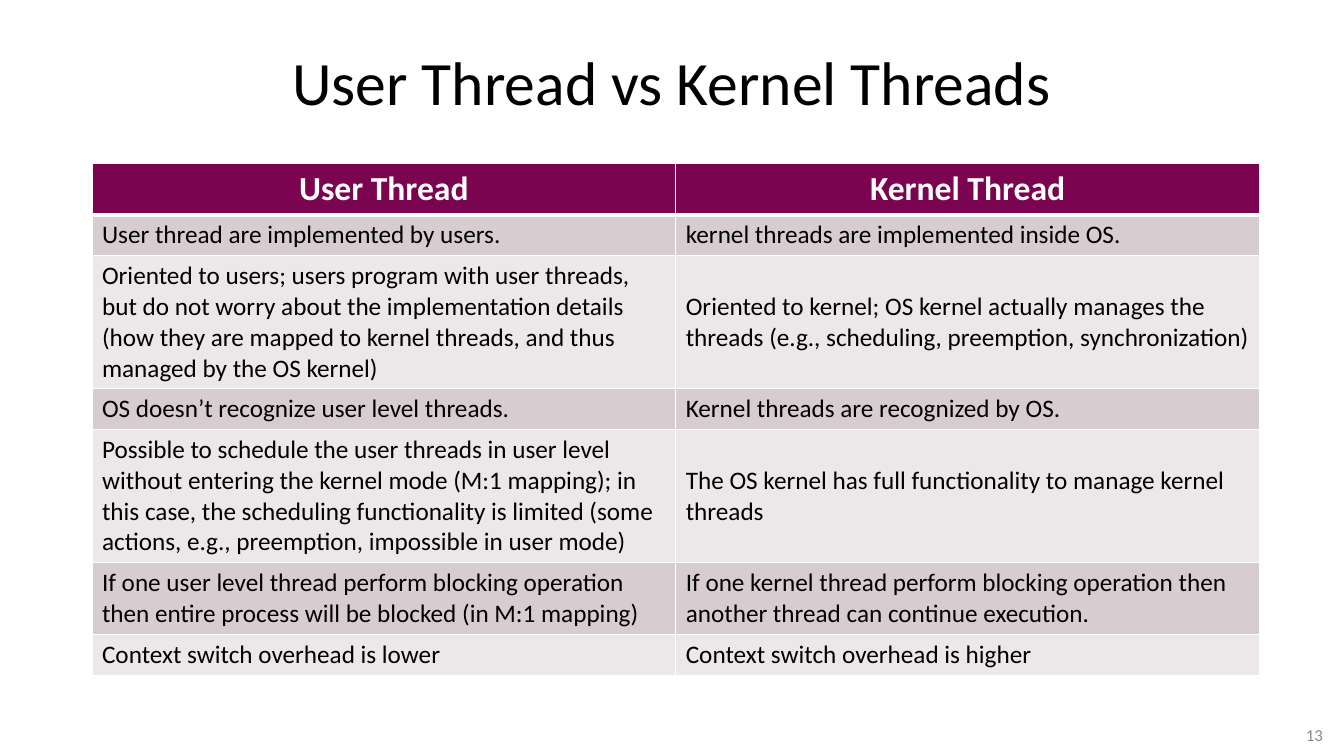
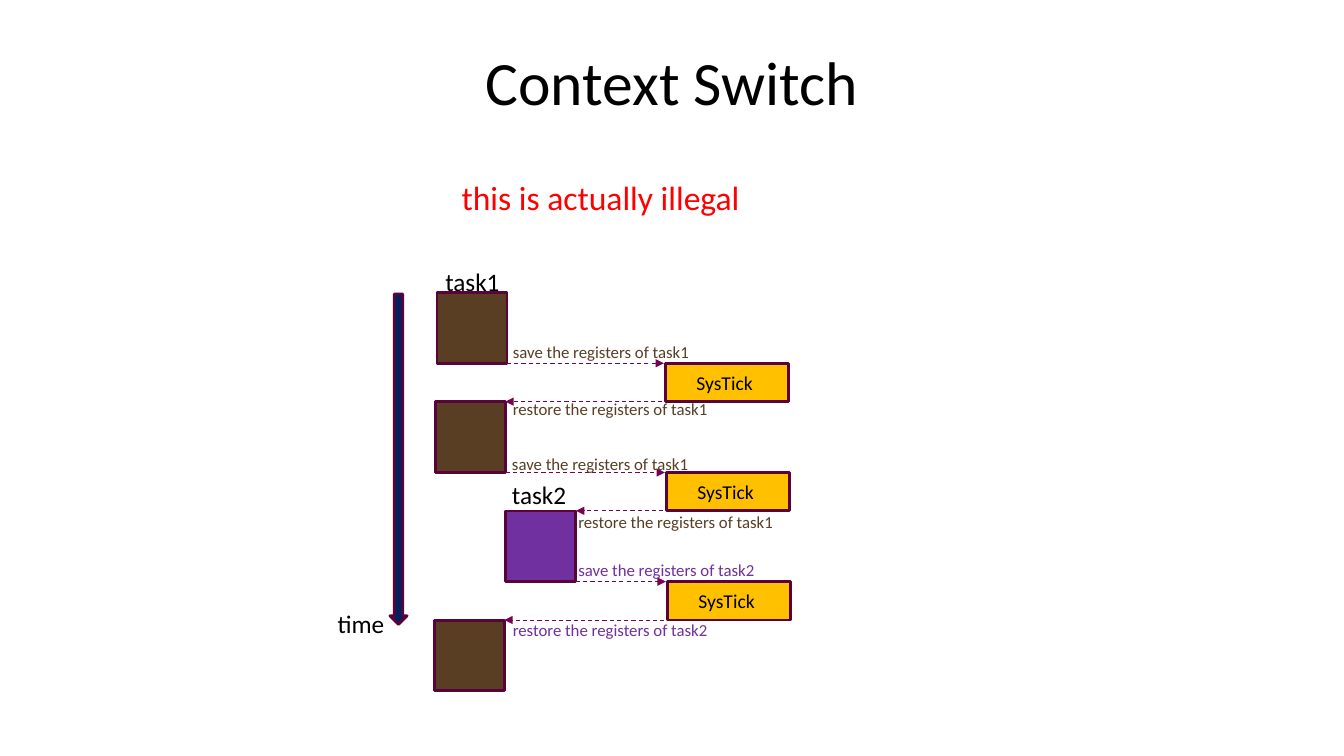
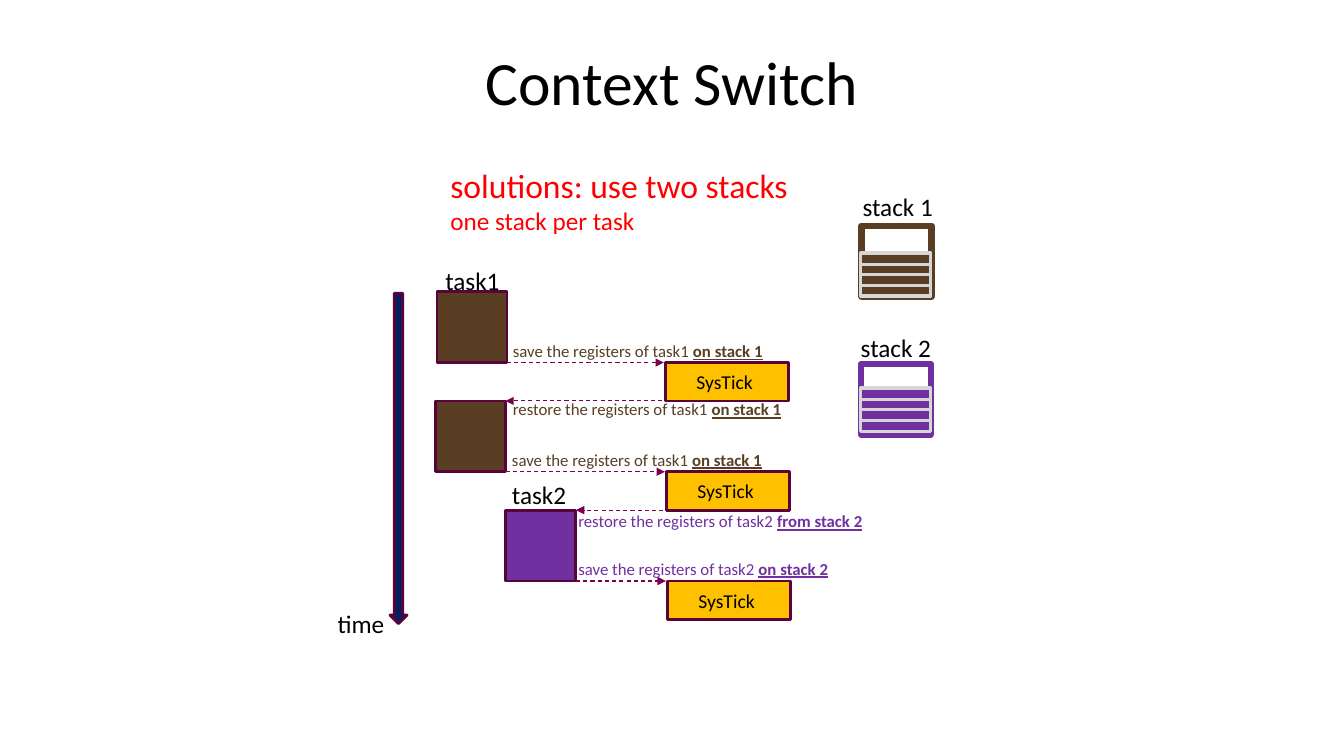
from lxml import etree
from pptx import Presentation
from pptx.dml import color as dml
from pptx.enum import dml as lines, shapes, text
from pptx.oxml import ns
from pptx.util import Pt

FONT = "Calibri"
BLACK, WHITE, RED, GREY = "000000", "FFFFFF", "FF0000", "898989"
HEADER, BAND_DARK, BAND_LIGHT = "7A0450", "D7CCD0", "ECE7E9"
OUTLINE, ARROW, NAVY, AMBER, SILVER = "5A033B", "7A014F", "002060", "FFC000", "D6D6D6"
TASK_COLOURS = {"task1": "593E24", "task2": "7030A0"}

LEFT, CENTRE, RIGHT = text.PP_ALIGN.LEFT, text.PP_ALIGN.CENTER, text.PP_ALIGN.RIGHT
TOP, MIDDLE = text.MSO_ANCHOR.TOP, text.MSO_ANCHOR.MIDDLE
EMPHASIS = {"bold": True, "underline": True}

TASK_WIDTH, TASK_HEIGHT = 50, 50.5
TICK_WIDTH, TICK_HEIGHT = 88, 27.4
CYCLE = 78
ENTRY_STEP, ENTRY_HEIGHT = 7.6, 8

COMPARISON = [
    ("User Thread", "Kernel Thread"),
    ("User thread are implemented by users.",
     "kernel threads are implemented inside OS."),
    ("Oriented to users; users program with user threads, but do not worry about the "
     "implementation details (how they are mapped to kernel threads, and thus managed "
     "by the OS kernel)",
     "Oriented to kernel; OS kernel actually manages the threads (e.g., scheduling, "
     "preemption, synchronization)"),
    ("OS doesn’t recognize user level threads.",
     "Kernel threads are recognized by OS."),
    ("Possible to schedule the user threads in user level without entering the kernel "
     "mode (M:1 mapping); in this case, the scheduling functionality is limited (some "
     "actions, e.g., preemption, impossible in user mode)",
     "The OS kernel has full functionality to manage kernel threads"),
    ("If one user level thread perform blocking operation then entire process will be "
     "blocked (in M:1 mapping)",
     "If one kernel thread perform blocking operation then another thread can continue "
     "execution."),
    ("Context switch overhead is lower", "Context switch overhead is higher"),
]
ROW_HEIGHTS = [36.5, 29.2, 95, 29.2, 95, 51.2, 29.2]

# Each slice of the timeline: the running task and its left edge.
SLICES = [("task1", 312.2), ("task1", 311), ("task2", 361.4), ("task1", 310.3)]

# Each label: left, offset from the timeline top, width, task, action, stack note.
ILLEGAL_LABELS = [
    (359.2, 31.5, 142, "task1", "save the registers of task1", ""),
    (359.2, 72.5, 155.5, "task1", "restore the registers of task1", ""),
    (358.6, 111.5, 142, "task1", "save the registers of task1", ""),
    (406, 153, 155.5, "task1", "restore the registers of task1", ""),
    (406, 187, 142, "task2", "save the registers of task2", ""),
    (359.2, 230.2, 155.5, "task2", "restore the registers of task2", ""),
]
STACK_LABELS = [
    (359.2, 31.5, 195, "task1", "save the registers of task1 ", "on stack 1"),
    (359.2, 73, 209, "task1", "restore the registers of task1 ", "on stack 1"),
    (358.6, 109, 195, "task1", "save the registers of task1 ", "on stack 1"),
    (406, 153, 222, "task2", "restore the registers of task2 ", "from stack 2"),
    (406, 187, 195, "task2", "save the registers of task2 ", "on stack 2"),
]


def rgb(code):
    return dml.RGBColor.from_string(code)


def points(*lengths):
    return [Pt(length) for length in lengths]


def fill_with(part, code):
    part.fill.solid()
    part.fill.fore_color.rgb = rgb(code)


def write(frame, paragraphs, colour, align=LEFT, anchor=TOP):
    """Fill a text frame; a paragraph is a list of (words, font format) runs."""
    frame.vertical_anchor = anchor
    for index, runs in enumerate(paragraphs):
        paragraph = frame.add_paragraph() if index else frame.paragraphs[0]
        paragraph.alignment = align
        for words, font_format in runs:
            run = paragraph.add_run()
            run.text = words
            run.font.name = FONT
            run.font.color.rgb = rgb(colour)
            for name, value in font_format.items():
                setattr(run.font, name, value)


def add_text(slide, box, paragraphs, colour=BLACK, align=LEFT, anchor=TOP, wrap=False):
    frame = slide.shapes.add_textbox(*points(*box)).text_frame
    frame.word_wrap = wrap
    if not wrap:
        frame.auto_size = text.MSO_AUTO_SIZE.SHAPE_TO_FIT_TEXT
    write(frame, paragraphs, colour, align, anchor)


def add_caption(slide, left, top, width, words):
    add_text(slide, (left, top, width, 29), [[(words, {"size": Pt(18)})]])


def add_block(slide, box, fill, outline=OUTLINE, weight=2, kind=shapes.MSO_SHAPE.RECTANGLE):
    block = slide.shapes.add_shape(kind, *points(*box))
    block.shadow.inherit = False
    fill_with(block, fill)
    block.line.color.rgb = rgb(outline)
    block.line.width = Pt(weight)
    return block


def add_switch(slide, start, end, level):
    """Draw a level dashed arrow between a task and the tick handler."""
    switch = slide.shapes.add_connector(
        shapes.MSO_CONNECTOR.STRAIGHT, *points(start, level, end, level))
    switch.line.color.rgb = rgb(ARROW)
    switch.line.width = Pt(0.75)
    switch.line.dash_style = lines.MSO_LINE.DASH
    etree.SubElement(switch.line._get_or_add_ln(), ns.qn("a:tailEnd"), type="triangle")
    etree.SubElement(switch._element.spPr, ns.qn("a:effectLst"))


def add_titled_slide(deck, title):
    slide = deck.slides.add_slide(deck.slide_layouts[6])
    add_text(slide, (48, 21.6, 864, 72.7), [[(title, {"size": Pt(44)})]],
             align=CENTRE, anchor=MIDDLE, wrap=True)
    return slide


def set_borders(cell, bottom):
    properties = cell._tc.get_or_add_tcPr()
    weights = {"a:lnL": 1, "a:lnR": 1, "a:lnT": 1, "a:lnB": bottom}
    for position, (side, weight) in enumerate(weights.items()):
        border = etree.Element(ns.qn(side), w=str(Pt(weight)))
        paint = etree.SubElement(border, ns.qn("a:solidFill"))
        etree.SubElement(paint, ns.qn("a:srgbClr"), val=WHITE)
        properties.insert(position, border)


def add_comparison(slide):
    table = slide.shapes.add_table(
        len(COMPARISON), 2, *points(65.7, 117, 834, sum(ROW_HEIGHTS))).table
    for row, (height, entries) in enumerate(zip(ROW_HEIGHTS, COMPARISON)):
        table.rows[row].height = Pt(height)
        for column, words in enumerate(entries):
            cell = table.cell(row, column)
            if row == 0:
                fill_with(cell, HEADER)
                heading = [[(words, {"size": Pt(24), "bold": True})]]
                write(cell.text_frame, heading, WHITE, CENTRE)
            else:
                fill_with(cell, BAND_DARK if row % 2 else BAND_LIGHT)
                body = [[(words, {"size": Pt(18), "bold": False})]]
                write(cell.text_frame, body, BLACK)
                cell.vertical_anchor = MIDDLE
            set_borders(cell, 1 if row else 3)


def add_timeline(slide, top, slices, ticks, labels):
    """Draw tasks down the time axis, with a tick handler after each of the first ones."""
    add_block(slide, (278.6, top + 1, 12.2, 236), NAVY, kind=shapes.MSO_SHAPE.DOWN_ARROW)
    add_caption(slide, 234, top + 222.3, 48, "time")
    add_caption(slide, 311, top - 22.6, 53.3, "task1")
    add_caption(slide, 358.6, top + 130, 53.3, "task2")
    for index, (task, left) in enumerate(slices):
        add_block(slide, (left, top + index * CYCLE, TASK_WIDTH, TASK_HEIGHT),
                  TASK_COLOURS[task])
    for index in range(ticks):
        tick_left = 475.2 + 0.7 * index
        tick_top = top + index * CYCLE + TASK_HEIGHT
        tick = add_block(slide, (tick_left, tick_top, TICK_WIDTH, TICK_HEIGHT), AMBER)
        write(tick.text_frame, [[("SysTick ", {"size": Pt(14)})]], BLACK, CENTRE, MIDDLE)
        add_switch(slide, slices[index][1] + TASK_WIDTH, tick_left - 1, tick_top)
        if index + 1 < len(slices):
            add_switch(slide, tick_left - 2, slices[index + 1][1] + TASK_WIDTH,
                       tick_top + TICK_HEIGHT)
    for left, offset, width, task, action, note in labels:
        runs = [(action, {"size": Pt(12)})]
        if note:
            runs.append((note, {"size": Pt(12), **EMPHASIS}))
        add_text(slide, (left, top + offset, width, 21.8), [runs], TASK_COLOURS[task])


def add_stack(slide, left, top, colour, first_entry):
    add_block(slide, (left, top, TASK_WIDTH, TASK_HEIGHT), WHITE, colour, 4.5)
    for level in reversed(range(4)):
        entry_top = first_entry + level * ENTRY_STEP
        add_block(slide, (614.9, entry_top, TASK_WIDTH, ENTRY_HEIGHT), colour, SILVER, 2.25)


def main():
    deck = Presentation()
    deck.slide_width, deck.slide_height = points(960, 540)

    threads = add_titled_slide(deck, "User Thread vs Kernel Threads")
    add_text(threads, (849, 514, 103, 21), [[("13", {"size": Pt(12)})]], GREY,
             RIGHT, MIDDLE, wrap=True)
    add_comparison(threads)

    illegal = add_titled_slide(deck, "Context Switch")
    add_timeline(illegal, 209, SLICES, 3, ILLEGAL_LABELS)
    add_text(illegal, (322.6, 123.1, 214.6, 36),
             [[("this is actually illegal", {"size": Pt(24)})]], RED)

    solution = add_titled_slide(deck, "Context Switch")
    add_text(solution, (314.6, 114.5, 257.8, 58.3),
             [[("solutions: use two stacks", {"size": Pt(24)})],
              [("one stack per task", {"size": Pt(18)})]], RED)
    add_timeline(solution, 208.5, SLICES[:3], 3, STACK_LABELS)
    add_stack(solution, 615.4, 161.3, TASK_COLOURS["task1"], 180.7)
    add_stack(solution, 615, 260, TASK_COLOURS["task2"], 277.2)
    add_caption(solution, 609, 133.2, 65.5, "stack 1")
    add_caption(solution, 607.7, 234, 65.5, "stack 2")

    deck.save("out.pptx")


if __name__ == "__main__":
    main()
